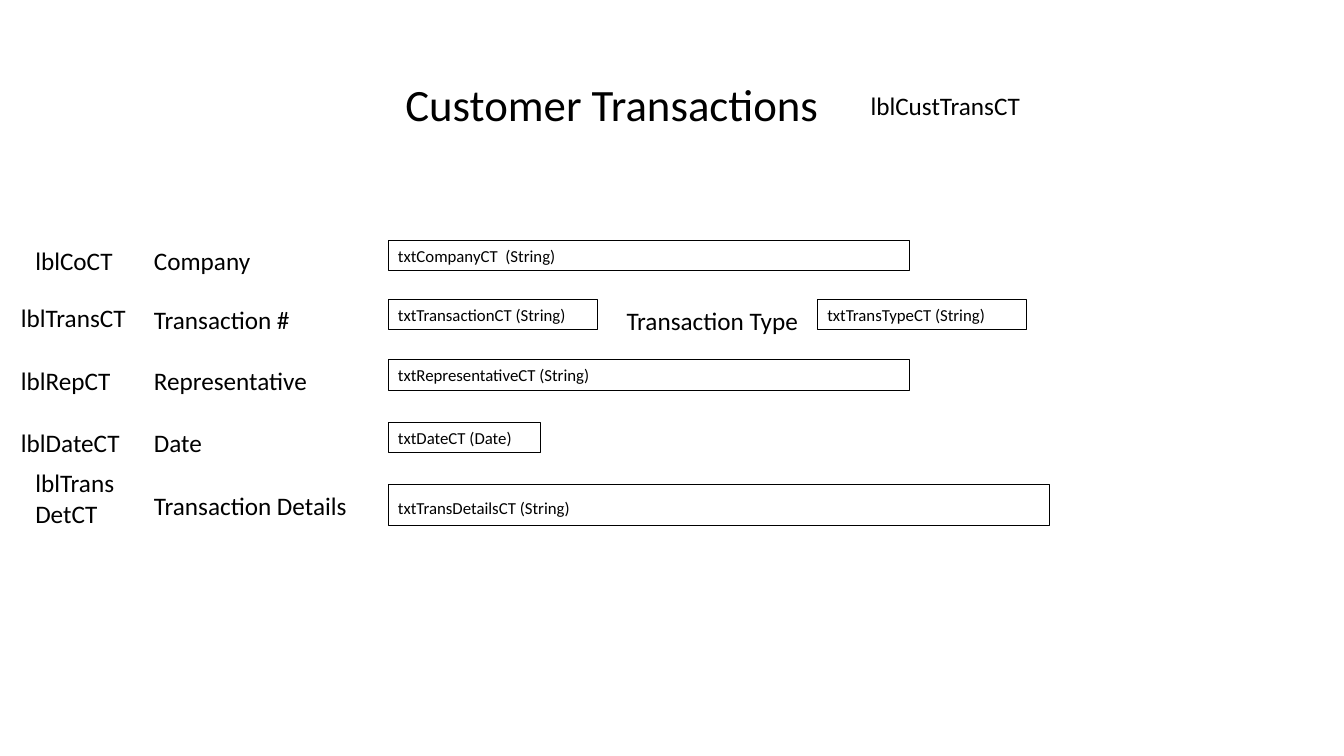
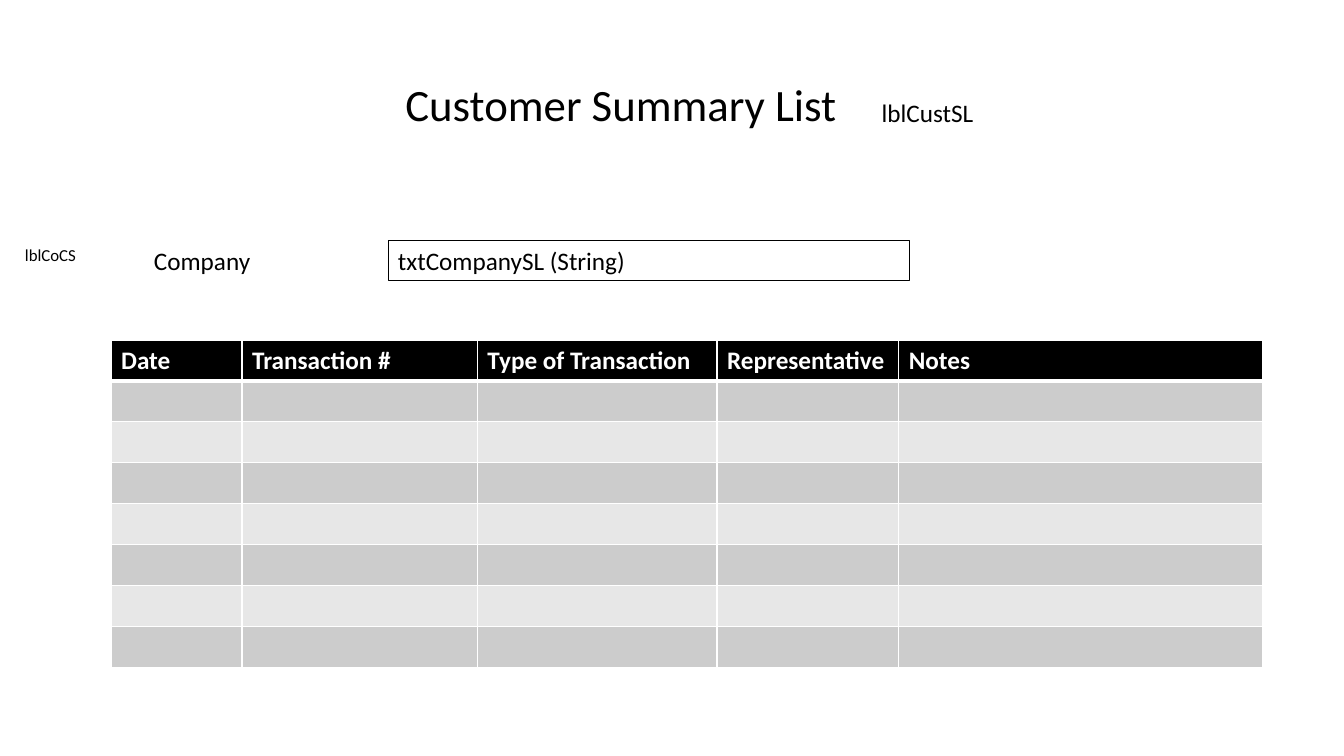
from dataclasses import dataclass

from lxml import etree
from pptx import Presentation
from pptx import util as u
from pptx.dml.color import RGBColor
from pptx.enum import shapes, text
from pptx.oxml.ns import qn


@dataclass(frozen=True)
class Theme:
    font: str = "Calibri"
    ink: str = "000000"
    paper: str = "FFFFFF"
    band_dark: str = "CCCCCC"
    band_light: str = "E7E7E7"
    title_size: int = 32
    label_size: int = 18
    field_size: int = 12
    outline: float = 0.75
    grid: int = 1
    header_rule: int = 3


@dataclass(frozen=True)
class Box:
    """A rectangle in centimetres."""
    left: float
    top: float
    width: float
    height: float

    def inner(self, left, top, width, height):
        """Return a box whose offset is measured from this one."""
        return Box(self.left + left, self.top + top, width, height)

    def lengths(self):
        return [u.Cm(value) for value in (self.left, self.top, self.width, self.height)]


THEME = Theme()
TITLE_BOX = Box(9.96, 1.8, 11.7, 1.63)
FORM_BOX = Box(0, 6.05, 33.87, 7.5)
TABLE_BOX = Box(2.8, 8.57, 29.03, 8.24)

LABEL_HEIGHT = 1.02
FIELD_HEIGHT = 0.76
CAPTION_LEFT = 3.63
CAPTION_WIDTH = 5.6
FIELD_LEFT = 9.78
TAG_LEFT = 0.28
TAG_INDENT = 0.64
WIDE_FIELD = 13.13
SHORT_FIELD = 5.28


def style_paragraph(paragraph, size, color=THEME.ink, bold=False):
    paragraph.alignment = text.PP_ALIGN.LEFT
    paragraph.font.name = THEME.font
    paragraph.font.size = u.Pt(size)
    paragraph.font.bold = bold
    paragraph.font.color.rgb = RGBColor.from_string(color)


def fill_text(shape, wording, size):
    frame = shape.text_frame
    frame.word_wrap = True
    frame.auto_size = text.MSO_AUTO_SIZE.NONE
    frame.vertical_anchor = text.MSO_ANCHOR.TOP
    frame.text = wording
    style_paragraph(frame.paragraphs[0], size)


def add_label(slide, box, wording, size=THEME.label_size):
    fill_text(slide.shapes.add_textbox(*box.lengths()), wording, size)


def add_field(slide, box, wording, size=THEME.field_size, inset_top=0.13):
    """Draw an outlined entry field; inset_top is in centimetres."""
    shape = slide.shapes.add_shape(shapes.MSO_SHAPE.RECTANGLE, *box.lengths())
    shape.shadow.inherit = False
    shape.fill.background()
    shape.line.color.rgb = RGBColor.from_string(THEME.ink)
    shape.line.width = u.Pt(THEME.outline)
    fill_text(shape, wording, size)
    shape.text_frame.margin_top = u.Cm(inset_top)


def add_titled_slide(presentation, title, tag, tag_box):
    """Add a slide with its title and the name of the title's control."""
    slide = presentation.slides.add_slide(presentation.slide_layouts[5])
    heading = slide.shapes.title
    heading.left, heading.top, heading.width, heading.height = TITLE_BOX.lengths()
    fill_text(heading, title, THEME.title_size)
    add_label(slide, tag_box, tag)
    return slide


def add_transaction_form(slide, box):
    # row top, tag, tag left, tag top, tag width, caption, field, field width
    rows = [
        (0, "lblCoCT", TAG_INDENT, 0, 2.97,
         "Company", "txtCompanyCT  (String)", WIDE_FIELD),
        (1.5, "lblTransCT", TAG_LEFT, 1.44, 3.35,
         "Transaction #", "txtTransactionCT (String)", SHORT_FIELD),
        (3.02, "lblRepCT", TAG_LEFT, 3.02, 3.05,
         "Representative", "txtRepresentativeCT (String)", WIDE_FIELD),
        (4.59, "lblDateCT", TAG_LEFT, 4.59, 3.48,
         "Date", "txtDateCT (Date)", 3.84),
    ]
    for top, tag, tag_left, tag_top, tag_width, caption, field, width in rows:
        add_label(slide, box.inner(tag_left, tag_top, tag_width, LABEL_HEIGHT), tag)
        add_label(slide, box.inner(CAPTION_LEFT, top, CAPTION_WIDTH, LABEL_HEIGHT), caption)
        add_field(slide, box.inner(FIELD_LEFT, top, width, FIELD_HEIGHT), field)

    add_label(slide, box.inner(15.54, 1.52, 5, LABEL_HEIGHT), "Transaction Type")
    add_field(slide, box.inner(20.6, 1.5, SHORT_FIELD, FIELD_HEIGHT),
              "txtTransTypeCT (String)")

    add_label(slide, box.inner(TAG_INDENT, 5.61, 2.67, 1.8), "lblTransDetCT")
    add_label(slide, box.inner(CAPTION_LEFT, 6.17, CAPTION_WIDTH, LABEL_HEIGHT),
              "Transaction Details")
    add_field(slide, box.inner(FIELD_LEFT, 6.17, 16.66, LABEL_HEIGHT),
              "txtTransDetailsCT (String)", inset_top=0.33)


def add_company_form(slide, box):
    add_label(slide, box.inner(0.38, 0, 3.25, FIELD_HEIGHT), "lblCoCS", THEME.field_size)
    add_label(slide, box.inner(CAPTION_LEFT, 0, CAPTION_WIDTH, LABEL_HEIGHT), "Company")
    add_field(slide, box.inner(FIELD_LEFT, 0, WIDE_FIELD, LABEL_HEIGHT),
              "txtCompanySL (String)", THEME.label_size)


def set_cell_border(cell, side, points):
    """Rule one side of a cell (L, R, T or B) in the paper colour."""
    properties = cell._tc.get_or_add_tcPr()
    line = etree.SubElement(properties, qn(f"a:ln{side}"), w=str(u.Pt(points)))
    fill = etree.SubElement(line, qn("a:solidFill"))
    etree.SubElement(fill, qn("a:srgbClr"), val=THEME.paper)


def add_summary_table(slide, box):
    columns = [("Date", 3.3), ("Transaction #", 5.93), ("Type of Transaction", 6.04),
               ("Representative", 4.58), ("Notes", 9.18)]
    row_count = 8
    frame = slide.shapes.add_table(row_count, len(columns), *box.lengths())
    table = frame.table
    for column, (_, width) in zip(table.columns, columns):
        column.width = u.Cm(width)
    for row_index, row in enumerate(table.rows):
        row.height = u.Cm(box.height / row_count)
        if row_index == 0:
            color = THEME.ink
        else:
            color = THEME.band_dark if row_index % 2 else THEME.band_light
        for cell, (heading, _) in zip(row.cells, columns):
            for side in "LRTB":
                under_header = (row_index, side) in ((0, "B"), (1, "T"))
                set_cell_border(cell, side,
                                THEME.header_rule if under_header else THEME.grid)
            cell.fill.solid()
            cell.fill.fore_color.rgb = RGBColor.from_string(color)
            if row_index == 0:
                cell.text = heading
                style_paragraph(cell.text_frame.paragraphs[0], THEME.label_size,
                                THEME.paper, bold=True)


def main():
    presentation = Presentation()
    presentation.slide_width = u.Cm(33.87)
    presentation.slide_height = u.Cm(19.05)

    transactions = add_titled_slide(
        presentation, "Customer Transactions", "lblCustTransCT",
        TITLE_BOX.inner(11.73, 0.36, 4.75, LABEL_HEIGHT))
    add_transaction_form(transactions, FORM_BOX)

    summary = add_titled_slide(
        presentation, "Customer Summary List", "lblCustSL",
        TITLE_BOX.inner(12.01, 0.54, 3.18, LABEL_HEIGHT))
    add_company_form(summary, FORM_BOX)
    add_summary_table(summary, TABLE_BOX)

    presentation.save("out.pptx")


if __name__ == "__main__":
    main()
